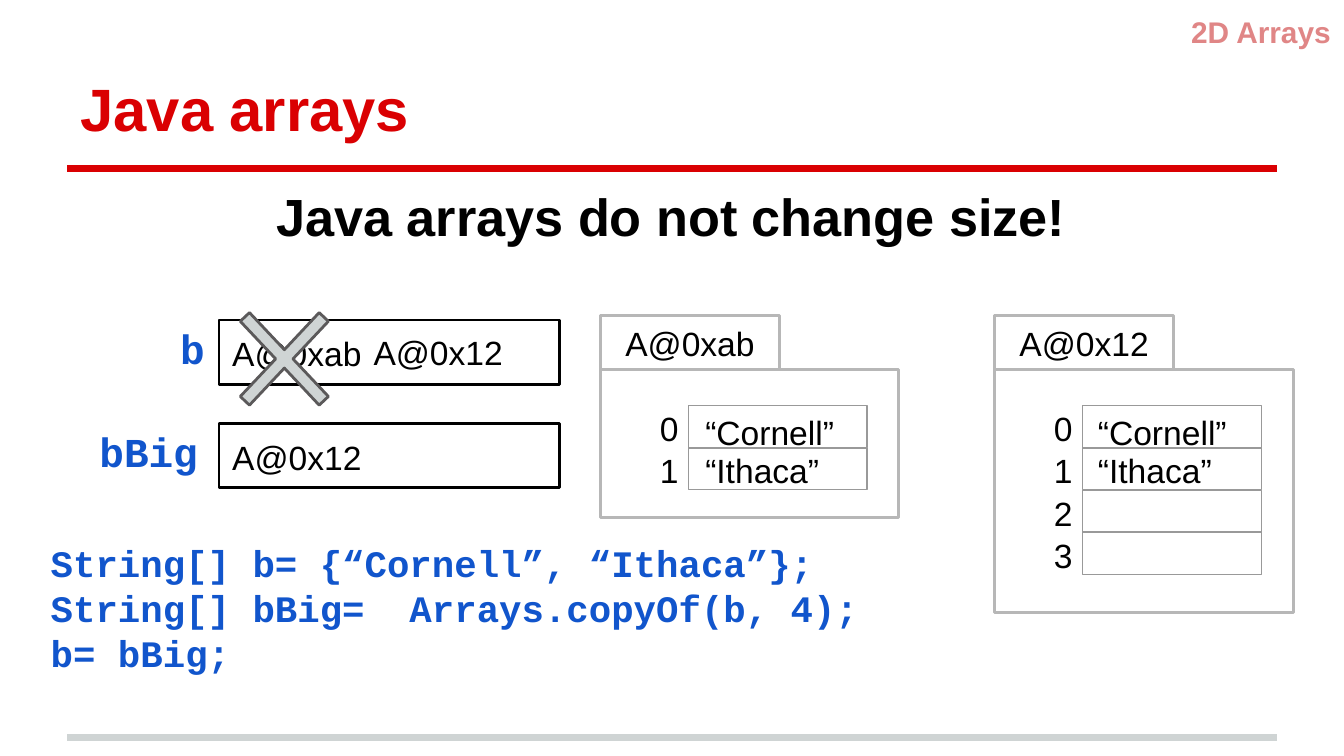
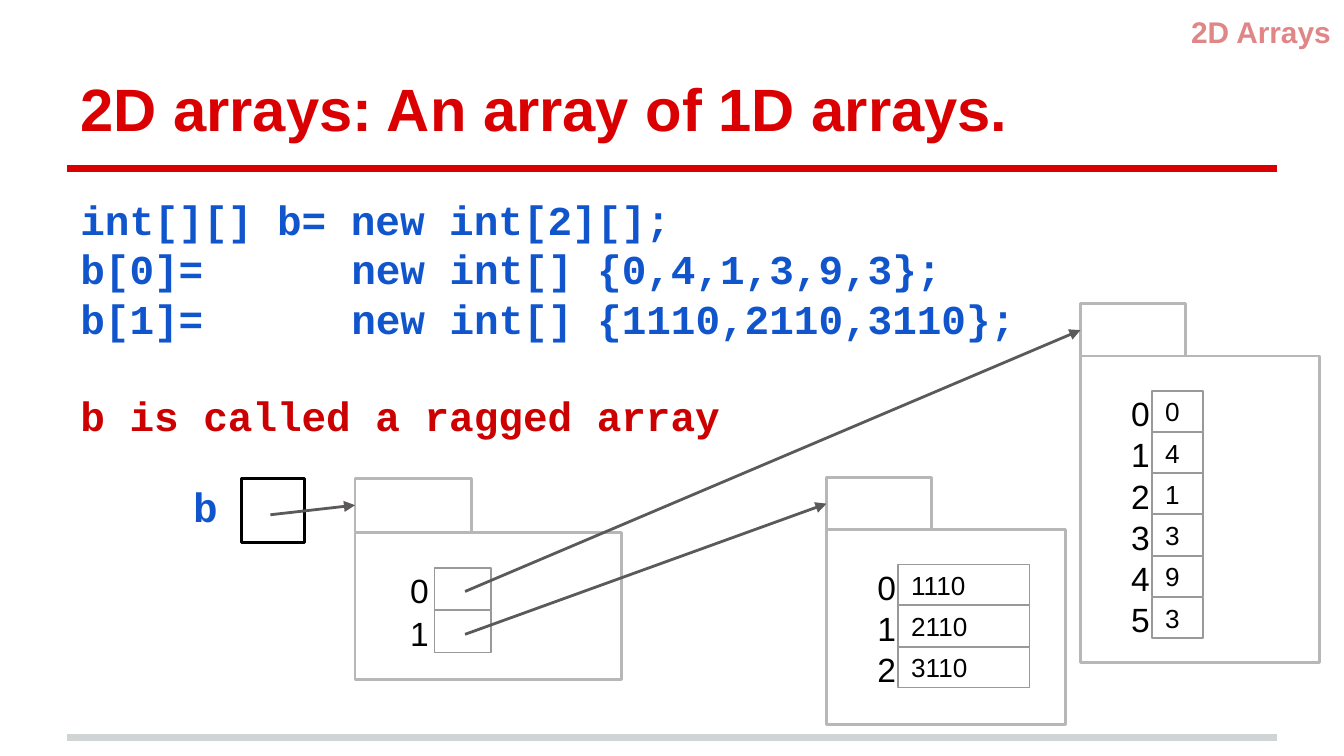
from dataclasses import dataclass

from lxml.etree import SubElement
from pptx import Presentation
from pptx.dml.color import RGBColor
from pptx.enum.shapes import MSO_CONNECTOR as Connector, MSO_SHAPE as Preset
from pptx.enum.text import MSO_ANCHOR as Anchor, PP_ALIGN as Align
from pptx.oxml.ns import qn
from pptx.util import Cm, Pt


@dataclass(frozen=True)
class Theme:
    sans: str = "Arial"
    mono: str = "Courier New"
    red: str = "DA0002"
    note: str = "CC0000"
    pink: str = "E08686"
    blue: str = "1155CC"
    black: str = "000000"
    folder: str = "B7B7B7"
    cell: str = "999999"
    band: str = "CFD4D4"
    arrow: str = "5B595A"
    title_size: int = 32
    headline_size: int = 28
    code_size: int = 22
    snippet_size: int = 20
    body_size: int = 18
    tag_size: int = 16
    value_size: int = 14
    band_width: float = 4
    line_width: float = 1.5
    hairline: float = 0.75
    inset: float = 0.25


@dataclass(frozen=True)
class Box:
    left: float
    top: float
    width: float
    height: float

    def inner(self, left, top, width, height):
        return Box(self.left + left, self.top + top, width, height)

    def lengths(self):
        return [Cm(side) for side in (self.left, self.top, self.width, self.height)]


@dataclass(frozen=True)
class FolderStyle:
    tab_width: float
    tab_height: float
    cell_left: float
    cell_top: float
    cell_width: float
    pitch: float
    index_width: float


THEME = Theme()
PAGE = Box(0, 0, 25.4, 14.29)


def color(code):
    return RGBColor.from_string(code)


def write(shape, lines, *, size=THEME.body_size, font=THEME.sans, ink=THEME.black,
          bold=False, align=Align.LEFT, anchor=Anchor.TOP):
    frame = shape.text_frame
    frame.word_wrap = True
    frame.vertical_anchor = anchor
    frame.margin_left = frame.margin_right = Cm(THEME.inset)
    frame.margin_top = frame.margin_bottom = Cm(THEME.inset)
    for number, line in enumerate(lines):
        para = frame.add_paragraph() if number else frame.paragraphs[0]
        para.alignment = align
        span = para.add_run()
        span.text = line
        span.font.name = font
        span.font.size = Pt(size)
        span.font.bold = bold
        span.font.color.rgb = color(ink)
    return frame.paragraphs


def add_text(shapes, box, *lines, **style):
    return write(shapes.add_textbox(*box.lengths()), lines, **style)


def add_code(shapes, box, *lines, **style):
    style = {"size": THEME.code_size, "font": THEME.mono, "ink": THEME.blue,
             "bold": True} | style
    return add_text(shapes, box, *lines, **style)


def add_box(shapes, box, line, text="", *, width=THEME.line_width,
            preset=Preset.RECTANGLE, fill=None, **style):
    shape = shapes.add_shape(preset, *box.lengths())
    shape.shadow.inherit = False
    if fill:
        shape.fill.solid()
        shape.fill.fore_color.rgb = color(fill)
    else:
        shape.fill.background()
    shape.line.color.rgb = color(line)
    shape.line.width = Pt(width)
    if text:
        write(shape, [text], **style)
    return shape


def add_line(shapes, start, end, ink, width=THEME.line_width, arrow=False):
    ends = [Cm(value) for value in (*start, *end)]
    connector = shapes.add_connector(Connector.STRAIGHT, *ends)
    connector.line.color.rgb = color(ink)
    connector.line.width = Pt(width)
    properties = connector.element.spPr
    if arrow:
        SubElement(properties.find(qn("a:ln")), qn("a:tailEnd"), type="triangle")
    SubElement(properties, qn("a:effectLst"))


def add_tab_stop(para, position):
    stops = SubElement(para._p.get_or_add_pPr(), qn("a:tabLst"))
    SubElement(stops, qn("a:tab"), pos=str(Cm(position)), algn="l")


def add_frame(deck, title):
    page = deck.slides.add_slide(deck.slide_layouts[6])
    shapes = page.shapes
    for height, ink in ((13.94, THEME.band), (3.18, THEME.red)):
        add_line(shapes, (1.27, height), (24.13, height), ink, THEME.band_width)
    add_text(shapes, PAGE.inner(1.27, 0.58, 22.86, 2.39), title,
             size=THEME.title_size, ink=THEME.red, bold=True, anchor=Anchor.BOTTOM)
    add_text(shapes, PAGE.inner(19.46, 0, 5.94, 1.02), "2D Arrays",
             size=THEME.tag_size, ink=THEME.pink, bold=True, align=Align.RIGHT)
    return shapes


def add_folder(shapes, box, style, values, name=""):
    group = shapes.add_group_shape().shapes
    add_box(group, box.inner(0, style.tab_height, box.width, box.height - style.tab_height),
            THEME.folder)
    add_box(group, box.inner(0, 0, style.tab_width, style.tab_height), THEME.folder,
            name, align=Align.CENTER, anchor=Anchor.MIDDLE)
    for index, value in enumerate(values):
        top = style.cell_top + index * style.pitch
        add_box(group, box.inner(style.cell_left, top, style.cell_width, style.pitch - 0.01),
                THEME.cell, value, width=THEME.hairline, size=THEME.value_size,
                anchor=Anchor.MIDDLE)
        add_text(group, box.inner(style.cell_left - style.index_width, top - 0.21,
                                  style.index_width, 1.2), str(index))


def add_variable(shapes, box, name, value):
    add_box(shapes, box, THEME.black, value)
    add_code(shapes, box.inner(-4, -0.18, 4 - (0.02 if name == "b" else 0.15), 1.52),
             name, align=Align.RIGHT)


def build_resizing(deck):
    shapes = add_frame(deck, "Java arrays")
    add_text(shapes, PAGE.inner(1.78, 3.23, 21.79, 1.52), "Java arrays do not change size!",
             size=THEME.headline_size, bold=True, align=Align.CENTER)

    style = FolderStyle(3.38, 1.02, 1.66, 1.7, 3.38, 0.8, 0.79)
    folders = (("A@0xab", Box(11.35, 5.97, 5.64, 3.81), 2, 1.73),
               ("A@0x12", Box(18.8, 5.97, 5.64, 5.61), 4, 1.7))
    for name, box, count, label_left in folders:
        add_folder(shapes, box, style, [""] * count, name)
        for row, word in enumerate(("“Cornell”", "“Ithaca”")):
            add_text(shapes, box.inner(label_left, 1.57 + row * 0.72, 4.34, 1.02), word)

    for top, name, value in ((6.05, "b", "A@0xab"), (8, "bBig", "A@0x12")):
        add_variable(shapes, Box(4.14, top, 6.43, 1.22), name, value)
    add_text(shapes, PAGE.inner(6.81, 6.02, 3.99, 1.3), "A@0x12")
    cross = add_box(shapes, PAGE.inner(3.94, 5.26, 2.87, 3.05), THEME.arrow,
                    preset=Preset.MATH_MULTIPLY, fill=THEME.band)
    cross.adjustments[0] = 0.083

    add_code(shapes, PAGE.inner(0.71, 9.96, 23.11, 1.3),
             "String[] b= {“Cornell”, “Ithaca”};",
             "String[] bBig=  Arrays.copyOf(b, 4);",
             "b= bBig;", size=THEME.snippet_size)


def build_ragged(deck):
    shapes = add_frame(deck, "2D arrays: An array of 1D arrays.")
    paras = add_code(shapes, PAGE.inner(1.27, 3.43, 21.79, 5.51),
                     "int[][] b= new int[2][];",
                     "b[0]=\tnew int[] {0,4,1,3,9,3};",
                     "b[1]=\tnew int[] {1110,2110,3110};",
                     "b is called a ragged array")
    for para in paras[1:3]:
        add_tab_stop(para, 5.12)
    paras[3].space_before = Pt(26)
    paras[3].runs[0].font.color.rgb = color(THEME.note)

    outer = Box(6.71, 9.04, 5.03, 3.81)
    add_folder(shapes, outer, FolderStyle(2.21, 1.02, 1.5, 1.7, 1.07, 0.8, 0.71), ["", ""])
    add_code(shapes, PAGE.inner(3.4, 8.86, 1.37, 1.52), "b")
    add_box(shapes, PAGE.inner(4.57, 9.04, 1.19, 1.22), THEME.black)
    add_line(shapes, (5.11, 9.73), (outer.left, outer.top + 0.51), THEME.arrow, arrow=True)

    rows = ((Box(20.42, 5.74, 4.52, 6.78), 0.97, "0 4 1 3 9 3"),
            (Box(15.62, 9.02, 4.52, 4.67), 2.49, "1110 2110 3110"))
    for row, (box, cell_width, values) in enumerate(rows):
        style = FolderStyle(1.98, 0.99, 1.35, 1.65, cell_width, 0.78, 0.64)
        add_folder(shapes, box, style, values.split())
        add_line(shapes, (outer.left + 2.08, outer.top + 2.14 + row * 0.81),
                 (box.left, box.top + 0.5), THEME.arrow, arrow=True)


def main():
    deck = Presentation()
    deck.slide_width = Cm(PAGE.width)
    deck.slide_height = Cm(PAGE.height)
    build_resizing(deck)
    build_ragged(deck)
    deck.save("out.pptx")


if __name__ == "__main__":
    main()
